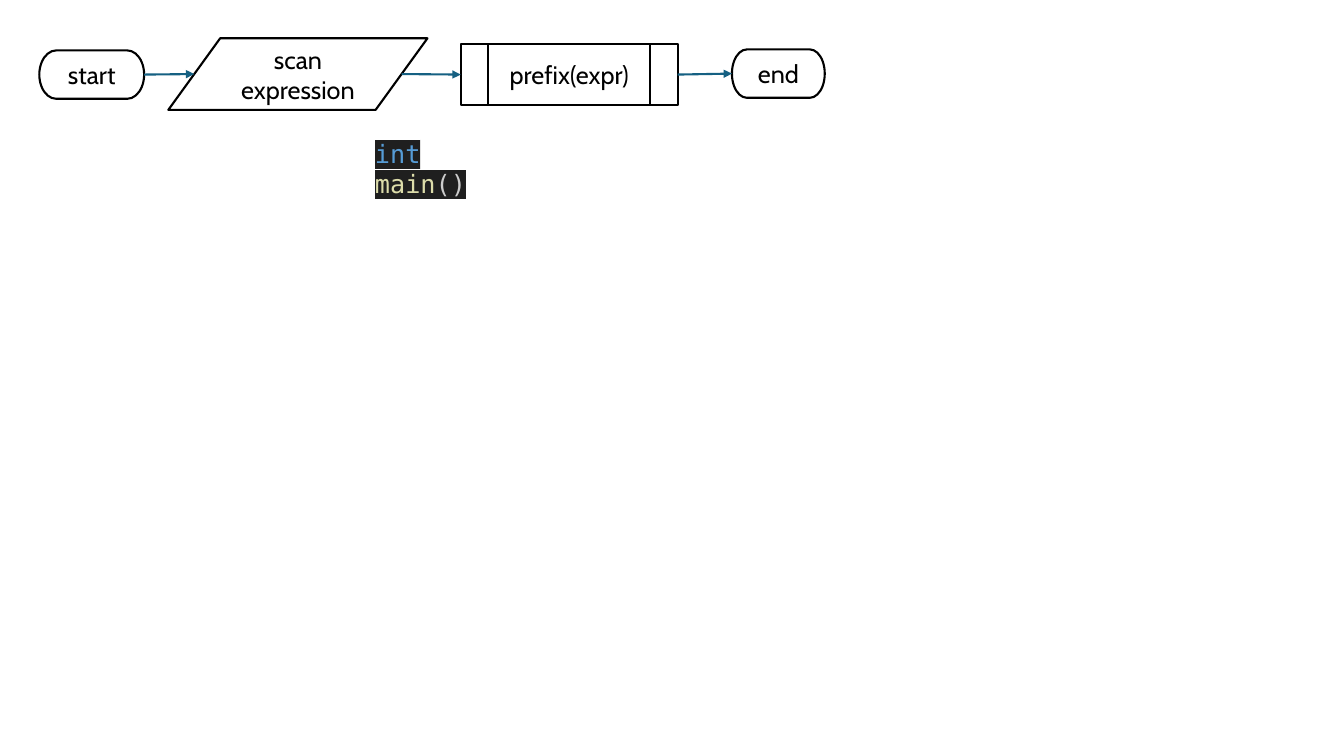
from dataclasses import dataclass

from lxml import etree
from pptx import Presentation
from pptx.dml.color import RGBColor
from pptx.enum.shapes import MSO_CONNECTOR, MSO_SHAPE
from pptx.enum.text import MSO_ANCHOR, MSO_AUTO_SIZE, PP_ALIGN
from pptx.oxml.ns import qn
from pptx.util import Pt

TERMINATOR = MSO_SHAPE.FLOWCHART_TERMINATOR
INPUT_OUTPUT = MSO_SHAPE.FLOWCHART_DATA
SUBROUTINE = MSO_SHAPE.FLOWCHART_PREDEFINED_PROCESS
STRAIGHT = MSO_CONNECTOR.STRAIGHT
MIDDLE = MSO_ANCHOR.MIDDLE
CENTER = PP_ALIGN.CENTER
FIT_SHAPE = MSO_AUTO_SIZE.SHAPE_TO_FIT_TEXT
LEFT_SIDE, RIGHT_SIDE = 1, 3
EMU_PER_PX = 9144


@dataclass(frozen=True)
class Theme:
    ink: str = "000000"
    paper: str = "FFFFFF"
    arrow: str = "156082"
    code_back: str = "1F1F1F"
    keyword: str = "569CD6"
    plain: str = "CCCCCC"
    function: str = "DCDCAA"
    label_font: str = "Cabin"
    code_font: str = "DejaVu Sans Mono"
    text_size: float = 18
    line_width: float = 1.5
    text_outline: float = 0.75


THEME = Theme()

STEPS = [
    ("start", TERMINATOR, (0, 12, 104, 48)),
    ("scan expression", INPUT_OUTPUT, (128, 0, 257, 71)),
    ("prefix(expr)", SUBROUTINE, (418, 6, 215, 60)),
    ("end", TERMINATOR, (687, 11, 92, 48)),
]

CODE = [
    ("int", THEME.keyword),
    (" ", THEME.plain),
    ("main", THEME.function),
    ("()", THEME.plain),
]


def px(length):
    return round(length * EMU_PER_PX)


def color(value):
    return RGBColor.from_string(value)


def style_run(run, font_name, font_color):
    run.font.size = Pt(THEME.text_size)
    run.font.name = font_name
    run.font.color.rgb = color(font_color)


def add_solid_fill(parent, value):
    fill = etree.SubElement(parent, qn("a:solidFill"))
    etree.SubElement(fill, qn("a:srgbClr"), val=value)


def outline_run(run):
    outline = etree.Element(qn("a:ln"), w=str(Pt(THEME.text_outline)))
    add_solid_fill(outline, THEME.ink)
    run.font._element.insert(0, outline)


def highlight_run(run):
    highlight = etree.Element(qn("a:highlight"))
    etree.SubElement(highlight, qn("a:srgbClr"), val=THEME.code_back)
    run.font._element.find(qn("a:solidFill")).addnext(highlight)


def add_step(slide, label, kind, left, top, width, height):
    step = slide.shapes.add_shape(kind, px(left), px(top), px(width), px(height))
    step.shadow.inherit = False
    step.fill.solid()
    step.fill.fore_color.rgb = color(THEME.paper)
    step.line.color.rgb = color(THEME.ink)
    step.line.width = Pt(THEME.line_width)
    frame = step.text_frame
    frame.text = label
    frame.word_wrap = True
    frame.vertical_anchor = MIDDLE
    frame.paragraphs[0].alignment = CENTER
    run = frame.paragraphs[0].runs[0]
    style_run(run, THEME.label_font, THEME.ink)
    outline_run(run)
    return step


def side_inset(step):
    return step.width // 10 if step.auto_shape_type == INPUT_OUTPUT else 0


def add_arrow(slide, source, target):
    arrow = slide.shapes.add_connector(
        STRAIGHT,
        source.left + source.width - side_inset(source),
        source.top + source.height // 2,
        target.left + side_inset(target),
        target.top + target.height // 2,
    )
    if not side_inset(source):
        arrow.begin_connect(source, RIGHT_SIDE)
    if not side_inset(target):
        arrow.end_connect(target, LEFT_SIDE)
    arrow.line.color.rgb = color(THEME.arrow)
    arrow.line.width = Pt(THEME.line_width)
    etree.SubElement(arrow.line._get_or_add_ln(), qn("a:tailEnd"), type="triangle")
    etree.SubElement(arrow._element.spPr, qn("a:effectLst"))


def add_flow(slide, left, top):
    steps = [
        add_step(slide, label, kind, left + x, top + y, width, height)
        for label, kind, (x, y, width, height) in STEPS
    ]
    for source, target in zip(steps, steps[1:]):
        add_arrow(slide, source, target)


def add_code(slide, left, top, width, height):
    code = slide.shapes.add_textbox(px(left), px(top), px(width), px(height))
    frame = code.text_frame
    frame.word_wrap = True
    frame.auto_size = FIT_SHAPE
    for token, token_color in CODE:
        run = frame.paragraphs[0].add_run()
        run.text = token
        style_run(run, THEME.code_font, token_color)
        highlight_run(run)


def main():
    deck = Presentation()
    deck.slide_width, deck.slide_height = px(1333), px(750)
    slide = deck.slides.add_slide(deck.slide_layouts[6])
    add_flow(slide, 39, 38)
    add_code(slide, 362, 132, 159, 40)
    deck.save("out.pptx")


if __name__ == "__main__":
    main()
